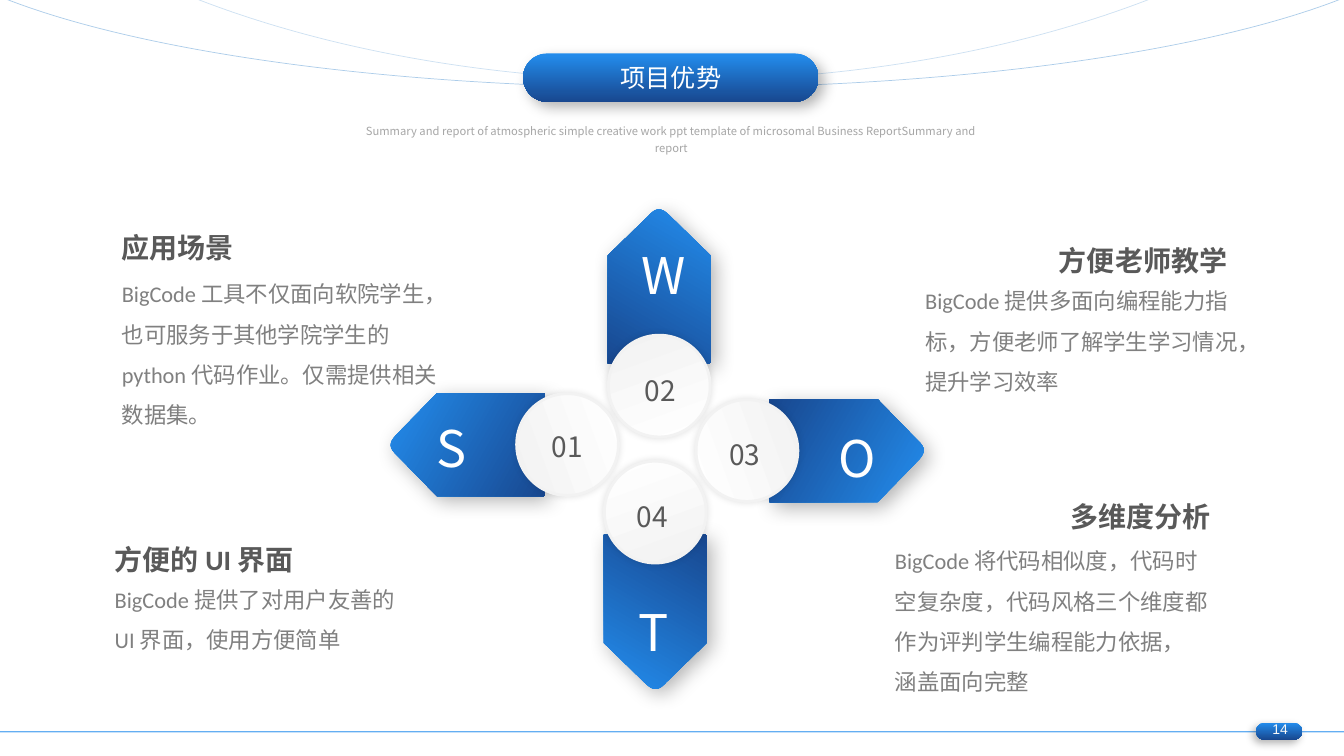
from math import cos, radians, sin
from lxml.etree import SubElement
from pptx import Presentation
from pptx.dml.color import RGBColor
from pptx.enum.shapes import MSO_CONNECTOR, MSO_SHAPE
from pptx.enum.text import MSO_ANCHOR, MSO_AUTO_SIZE, PP_ALIGN
from pptx.oxml.ns import qn
from pptx.util import Inches, Pt

COLORS = {
    "bright": "238DED", "deep": "18478F", "arc": "5B9BD5", "white": "FFFFFF",
    "pearl": "F2F2F2", "heading": "595959", "body": "808080", "caption": "A6A6A6",
    "page": "F8F8F8", "shadow": "000000",
}
SANS = "Noto Sans CJK SC"
LEFT, CENTER, RIGHT = PP_ALIGN.LEFT, PP_ALIGN.CENTER, PP_ALIGN.RIGHT
STYLES = {
    "title": {"size": Pt(18), "name": SANS, "color": "white"},
    "caption": {"size": Pt(8), "name": SANS, "color": "caption", "line_spacing": 1.3},
    "page": {"size": Pt(10), "name": "Arial", "color": "page"},
    "number": {"size": Pt(20), "name": SANS, "color": "heading"},
    "letter": {"size": Pt(36), "name": SANS, "color": "white"},
    "heading": {"size": Pt(20), "name": "Calibri", "color": "heading", "bold": True},
    "body": {"size": Pt(16), "name": "Calibri", "color": "body", "line_spacing": 1.5},
}

TITLE = "项目优势"
CAPTION = ("Summary and report of atmospheric simple creative work ppt template of "
           "microsomal Business ReportSummary and report")
PAGE = "14"

# Columns and rows of 0.1 inch
CELL = Inches(0.1)
COLUMNS, ROWS = 133.33, 75
ARCS = [((-10.6, -27.8, 154.8, 36.5), (112.82, 211.33), 50),
        ((-10.6, -69.8, 154.8, 77.8), (127.02, 196.69), 30)]
TITLE_PILL = (51.9, 5.3, 29.3, 4.8)
PAGE_PILL = (124.6, 71.7, 4.6, 1.7)
FOOTER_ROW = 72.6
DISC = 10.1
ARROW_WIDTH, ARROW_HEIGHT = 10.2, 15.3
ARROW_SHOULDER = 4.6
ARROW_TIP = [(4, 0.7), (4.8, -0.2), (5.3, -0.2), (6.2, 0.7)]
TIP_STEPS = 12
REACH = 9.9
NUMBER_BOX, LETTER_BOX = (5.6, 4.4), (5.6, 7.1)

PETALS = [
    {"letter": "W", "number": "02", "turn": 0, "disc": (65.4, 38.3),
     "letter_at": (65.5, 27.3), "number_at": (65.5, 38.8)},
    {"letter": "O", "number": "03", "turn": 90, "disc": (74.1, 44.7),
     "letter_at": (85, 45.4), "number_at": (73.9, 45.1)},
    {"letter": "T", "number": "04", "turn": 180, "disc": (65, 50.8),
     "letter_at": (64.8, 62.7), "number_at": (64.7, 51.3)},
    {"letter": "S", "number": "01", "turn": 270, "disc": (56.3, 44.1),
     "letter_at": (44.8, 44.4), "number_at": (56.3, 44.3)},
]
ADVANTAGES = [
    ("方便的 UI 界面", LEFT, (10.4, 53.3, 21.9, 4.4), (10.4, 56.3, 33.7, 8.7),
     ["BigCode 提供了对用户友善的", "UI 界面，使用方便简单"]),
    ("多维度分析", RIGHT, (103, 49.1, 18.1, 4.4), (87.8, 52.5, 33.7, 17.2),
     ["BigCode 将代码相似度，代码时空复杂度，代码风格三个维度都",
      "作为评判学生编程能力依据，", "涵盖面向完整"]),
    ("应用场景", LEFT, (11.1, 22.4, 18.1, 4.4), (11.1, 26, 33.7, 17.2),
     ["BigCode 工具不仅面向软院学生，也可服务于其他学院学生的 python 代码作业。仅需提供相关数据集。"]),
    ("方便老师教学", CENTER, (103, 23.7, 20.8, 4.4), (90.8, 26.7, 33.7, 12.7),
     ["BigCode 提供多面向编程能力指标，方便老师了解学生学习情况，提升学习效率"]),
]


def cells(*values):
    return [round(value * CELL) for value in values]


def rgb(name):
    return RGBColor.from_string(COLORS[name])


def around(center, size):
    return (center[0] - size[0] / 2, center[1] - size[1] / 2, *size)


def set_line(shape, color, width, opacity=100):
    shape.line.color.rgb = rgb(color)
    shape.line.width = Pt(width)
    if opacity < 100:
        color_element = shape.line._ln.find(".//" + qn("a:srgbClr"))
        SubElement(color_element, qn("a:alpha"), val=str(opacity * 1000))


def set_gradient(shape, first, last, angle):
    shape.fill.gradient()
    shape.fill.gradient_angle = 360 - angle
    for stop, color in zip(shape.fill.gradient_stops, (first, last)):
        stop.color.rgb = rgb(color)


def set_shadow(shape, opacity, blur, distance, direction):
    shape.shadow.inherit = False
    effects = shape._element.spPr.find(qn("a:effectLst"))
    outer = SubElement(effects, qn("a:outerShdw"), blurRad=str(Pt(blur)),
                       dist=str(Pt(distance)), dir=str(direction * 60000), rotWithShape="0")
    color = SubElement(outer, qn("a:srgbClr"), val=COLORS["shadow"])
    SubElement(color, qn("a:alpha"), val=str(opacity * 1000))


def write(frame, lines, style, alignment):
    frame.word_wrap = True
    for index, line in enumerate(lines):
        paragraph = frame.paragraphs[0] if index == 0 else frame.add_paragraph()
        paragraph.alignment = alignment
        run = paragraph.add_run()
        run.text = line
        for name, value in STYLES[style].items():
            if name == "color":
                run.font.color.rgb = rgb(value)
            else:
                setattr(paragraph if name == "line_spacing" else run.font, name, value)
        SubElement(run.font._element, qn("a:ea"), typeface=SANS)


def add_text(slide, box, lines, style, alignment=CENTER):
    shape = slide.shapes.add_textbox(*cells(*box))
    write(shape.text_frame, lines, style, alignment)
    shape.text_frame.auto_size = MSO_AUTO_SIZE.SHAPE_TO_FIT_TEXT


def add_pill(slide, box, shadow):
    pill = slide.shapes.add_shape(MSO_SHAPE.ROUNDED_RECTANGLE, *cells(*box))
    pill.adjustments[0] = 0.5
    set_gradient(pill, "bright", "deep", 90)
    pill.line.fill.background()
    set_shadow(pill, *shadow)


def arrow_outline():
    points = [(0, ARROW_SHOULDER)]
    for step in range(TIP_STEPS + 1):
        t = step / TIP_STEPS
        weights = ((1 - t) ** 3, 3 * t * (1 - t) ** 2, 3 * t ** 2 * (1 - t), t ** 3)
        points.append(tuple(sum(weight * point[axis] for weight, point in zip(weights, ARROW_TIP))
                            for axis in (0, 1)))
    return points + [(ARROW_WIDTH, ARROW_SHOULDER), (ARROW_WIDTH, ARROW_HEIGHT), (0, ARROW_HEIGHT)]


def add_petal(slide, petal):
    column, row = petal["disc"]
    turn = radians(petal["turn"])
    center = (column + REACH * sin(turn), row - REACH * cos(turn))
    left, top, _, _ = around(center, (ARROW_WIDTH, ARROW_HEIGHT))
    points = [cells(*point) for point in arrow_outline()]
    builder = slide.shapes.build_freeform(*points[0])
    builder.add_line_segments(points[1:])
    arrow = builder.convert_to_shape(*cells(left, top))
    set_gradient(arrow, "bright", "deep", 120)
    arrow.line.fill.background()
    set_shadow(arrow, 30, 15, 5, 45)

    disc = slide.shapes.add_shape(MSO_SHAPE.OVAL, *cells(*around(petal["disc"], (DISC, DISC))))
    set_gradient(disc, "white", "pearl", 250)
    set_line(disc, "pearl", 2)
    set_shadow(disc, 11, 5, 0, 0)
    for shape in (arrow, disc):
        shape.rotation = petal["turn"]


def add_frame(slide):
    for box, ends, opacity in ARCS:
        arc = slide.shapes.add_shape(MSO_SHAPE.ARC, *cells(*box))
        arc.adjustments[0], arc.adjustments[1] = ends
        arc.rotation = 180
        arc.fill.background()
        arc.shadow.inherit = False
        set_line(arc, "arc", 0.5, opacity)
    add_text(slide, (34.2, 11.4, 64.8, 2.6), [CAPTION], "caption")
    footer = slide.shapes.add_connector(
        MSO_CONNECTOR.STRAIGHT, *cells(0, FOOTER_ROW, COLUMNS, FOOTER_ROW))
    set_line(footer, "bright", 1, 70)
    SubElement(footer._element.spPr, qn("a:effectLst"))
    add_pill(slide, PAGE_PILL, (30, 6, 3, 135))
    add_text(slide, (124.3, 71, 5.4, 2.7), [PAGE], "page")


def add_title(slide):
    add_pill(slide, TITLE_PILL, (30, 10, 5, 45))
    title = slide.shapes.title
    title.left, title.top, title.width, title.height = cells(*TITLE_PILL)
    title.text_frame.vertical_anchor = MSO_ANCHOR.MIDDLE
    write(title.text_frame, [TITLE], "title", CENTER)
    slide.shapes._spTree.append(title._element)


def main():
    presentation = Presentation()
    presentation.slide_width, presentation.slide_height = cells(COLUMNS, ROWS)
    slide = presentation.slides.add_slide(presentation.slide_layouts[5])
    add_frame(slide)
    for petal in PETALS:
        add_petal(slide, petal)
    for petal in PETALS:
        add_text(slide, around(petal["number_at"], NUMBER_BOX), [petal["number"]], "number")
        add_text(slide, around(petal["letter_at"], LETTER_BOX), [petal["letter"]], "letter")
    add_title(slide)
    for heading, alignment, heading_box, body_box, lines in ADVANTAGES:
        add_text(slide, body_box, lines, "body", LEFT)
        add_text(slide, heading_box, [heading], "heading", alignment)
    presentation.save("out.pptx")


if __name__ == "__main__":
    main()
